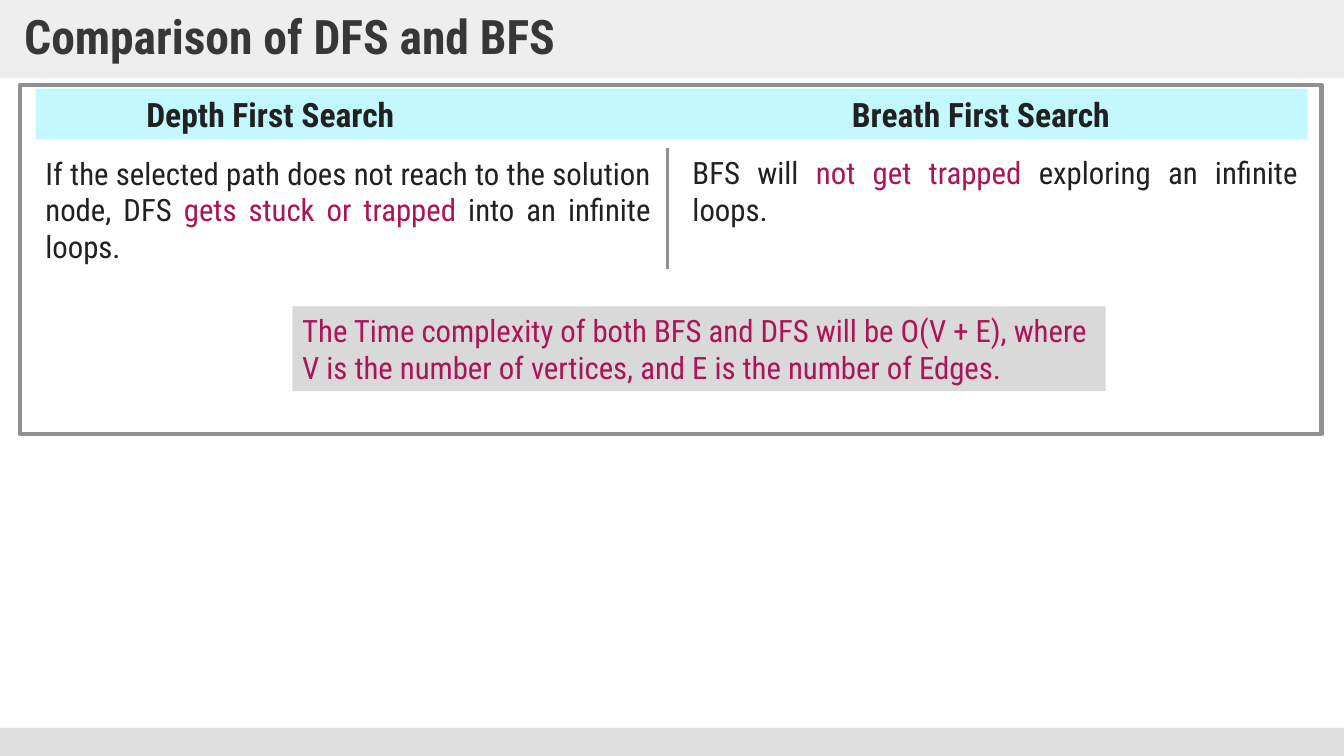
from lxml.etree import SubElement
from pptx import Presentation
from pptx.dml.color import RGBColor
from pptx.enum.shapes import MSO_CONNECTOR as Connector, MSO_SHAPE as Preset
from pptx.enum.text import MSO_ANCHOR as Anchor, MSO_AUTO_SIZE as AutoSize, PP_ALIGN as Align
from pptx.oxml.ns import qn
from pptx.util import Pt

TITLE = "Comparison of DFS and BFS"
HEADINGS = ("Depth First Search", "Breath First Search")
COLUMNS = [
    [
        ("If the selected path does not reach to the solution node, DFS ", "ink"),
        ("gets stuck or trapped ", "accent"),
        ("into an infinite loops.", "ink"),
    ],
    [
        ("BFS will ", "ink"),
        ("not get trapped ", "accent"),
        ("exploring an infinite loops.", "ink"),
    ],
]
COMPLEXITY = (
    "The Time complexity of both BFS and DFS will be O(V + E), where "
    "V is the number of vertices, and E is the number of Edges."
)

FONT = "Roboto Condensed"
COLORS = {
    "bar": "DFDFDF",
    "title": "373737",
    "frame": "909090",
    "heading": "C3F8FF",
    "ink": "212121",
    "accent": "AD1457",
    "note": "D9D9D9",
}

WIDTH, HEIGHT = 960, 540
TITLE_HEIGHT, FOOTER_HEIGHT = 56, 20
FRAME = (14.4, 60.5, 929.5, 249.8)
HEADING = (25.4, 63.4, 908.6, 36)
HEADING_TABS = (72, 576)
COLUMN_TOP, COLUMN_WIDTH = 106.6, 446.4
COLUMN_HEIGHTS = (87, 60.5)
DIVIDER = (476.6, 105.8, 476.6, 192.2)
NOTE = (208.8, 218.9, 581, 60.5)


def color(name):
    return RGBColor.from_string(COLORS[name])


def points(values):
    return [Pt(value) for value in values]


def add_box(slide, box, fill=None, preset=Preset.RECTANGLE):
    shape = slide.shapes.add_shape(preset, *points(box))
    shape.shadow.inherit = False
    shape.line.fill.background()
    if fill:
        shape.fill.solid()
        shape.fill.fore_color.rgb = color(fill)
    else:
        shape.fill.background()
    return shape


def write(shape, runs, size, bold=False, align=Align.LEFT, anchor=Anchor.TOP):
    frame = shape.text_frame
    frame.word_wrap = True
    frame.auto_size = AutoSize.NONE
    frame.vertical_anchor = anchor
    paragraph = frame.paragraphs[0]
    paragraph.alignment = align
    for text, name in runs:
        run = paragraph.add_run()
        run.text = text
        run.font.name = FONT
        run.font.size = Pt(size)
        run.font.bold = bold
        run.font.color.rgb = color(name)
    return paragraph


def add_title(slide):
    title = slide.shapes.title
    title.left, title.top, title.width, title.height = points((0, 0, WIDTH, TITLE_HEIGHT))
    title.fill.solid()
    title.fill.fore_color.rgb = color("bar")
    fill_color = title.element.spPr.find(qn("a:solidFill")).find(qn("a:srgbClr"))
    SubElement(fill_color, qn("a:alpha"), val="50000")
    frame = title.text_frame
    frame.margin_left = frame.margin_right = Pt(17.3)
    frame.margin_top = frame.margin_bottom = Pt(8.6)
    paragraph = write(title, [(TITLE, "title")], 34, bold=True, anchor=Anchor.MIDDLE)
    paragraph.line_spacing = 0.9


def add_headings(slide):
    shape = add_box(slide, HEADING, "heading")
    runs = [("\t" + heading, "ink") for heading in HEADINGS]
    paragraph = write(shape, runs, 24, bold=True)
    tabs = SubElement(paragraph._p.get_or_add_pPr(), qn("a:tabLst"))
    for position in HEADING_TABS:
        SubElement(tabs, qn("a:tab"), pos=str(Pt(position)), algn="l")


def add_columns(slide):
    left = HEADING[0]
    right = left + HEADING[2] - COLUMN_WIDTH
    for x, height, runs in zip((left, right), COLUMN_HEIGHTS, COLUMNS):
        box = slide.shapes.add_textbox(*points((x, COLUMN_TOP, COLUMN_WIDTH, height)))
        write(box, runs, 22, align=Align.JUSTIFY)
    divider = slide.shapes.add_connector(Connector.STRAIGHT, *points(DIVIDER))
    divider.line.color.rgb = color("frame")
    divider.line.width = Pt(2.25)
    SubElement(divider.element.spPr, qn("a:effectLst"))


def main():
    presentation = Presentation()
    presentation.slide_width, presentation.slide_height = points((WIDTH, HEIGHT))
    slide = presentation.slides.add_slide(presentation.slide_layouts[5])

    footer_box = (0, HEIGHT - FOOTER_HEIGHT, WIDTH, FOOTER_HEIGHT)
    footer = add_box(slide, footer_box, "bar", Preset.ROUNDED_RECTANGLE)
    footer.adjustments[0] = 0
    add_title(slide)

    frame = add_box(slide, FRAME)
    frame.line.color.rgb = color("frame")
    frame.line.width = Pt(3)

    add_headings(slide)
    add_columns(slide)
    write(add_box(slide, NOTE, "note"), [(COMPLEXITY, "accent")], 22)
    presentation.save("out.pptx")


if __name__ == "__main__":
    main()
